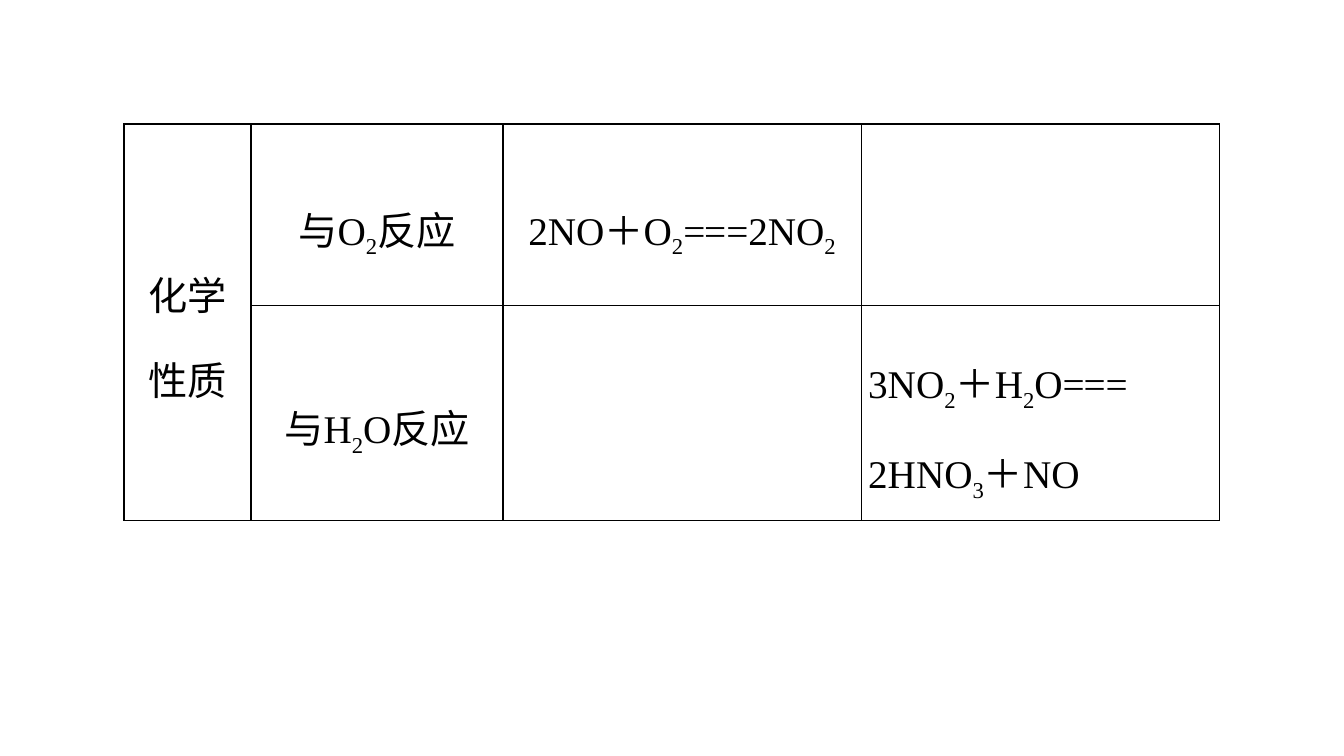
from dataclasses import dataclass

from lxml import etree
from pptx import Presentation
from pptx.dml.color import RGBColor
from pptx.enum.text import MSO_ANCHOR, PP_ALIGN
from pptx.oxml.ns import qn
from pptx.table import Table, _Cell
from pptx.util import Pt

CENTER, LEFT = PP_ALIGN.CENTER, PP_ALIGN.LEFT
MIDDLE = MSO_ANCHOR.MIDDLE
COLORS = {"ink": "000000"}
FONT_NAME = "Times New Roman"
FONT_SIZE = 28
COLUMN_WIDTHS = (90.72, 180, 255.8, 255.8)
ROW_HEIGHTS = (129.6, 153.4)
TABLE_LEFT, TABLE_TOP = 88.6, 88.6
SIDE_MARGIN = 5.04
BORDER_WIDTH = 1


@dataclass(frozen=True)
class Span:
    text: str
    baseline: int = 0
    spacing: int = 0


@dataclass(frozen=True)
class Entry:
    row: int
    column: int
    lines: tuple[tuple[Span, ...], ...]
    align: PP_ALIGN = CENTER


def sub(digit: str) -> Span:
    return Span(digit, baseline=-25000)


TIGHT_EQUALS = Span("==", spacing=-80)

ENTRIES = (
    Entry(0, 0, ((Span("化学性质"),),)),
    Entry(0, 1, ((Span("与O"), sub("2"), Span("反应")),)),
    Entry(0, 2, ((Span("2NO＋O"), sub("2"), TIGHT_EQUALS, Span("=2NO"), sub("2")),)),
    Entry(1, 1, ((Span("与H"), sub("2"), Span("O反应")),)),
    Entry(1, 3, (
        (Span("3NO"), sub("2"), Span("＋H"), sub("2"), Span("O"), TIGHT_EQUALS, Span("=")),
        (Span("2HNO"), sub("3"), Span("＋NO")),
    ), LEFT),
)


def style_cell(cell: _Cell) -> None:
    properties = cell._tc.get_or_add_tcPr()
    for side in ("lnL", "lnR", "lnT", "lnB"):
        line = etree.SubElement(properties, qn(f"a:{side}"), w=str(Pt(BORDER_WIDTH)))
        fill = etree.SubElement(line, qn("a:solidFill"))
        etree.SubElement(fill, qn("a:srgbClr"), val=COLORS["ink"])
    cell.fill.background()
    cell.vertical_anchor = MIDDLE
    cell.margin_left = cell.margin_right = Pt(SIDE_MARGIN)
    cell.margin_top = cell.margin_bottom = Pt(0)


def write_entry(table: Table, entry: Entry) -> None:
    frame = table.cell(entry.row, entry.column).text_frame
    for index, line in enumerate(entry.lines):
        para = frame.add_paragraph() if index else frame.paragraphs[0]
        para.alignment = entry.align
        para.line_spacing = 1.5
        para.font.name = FONT_NAME
        para.font.size = Pt(FONT_SIZE)
        para.font.color.rgb = RGBColor.from_string(COLORS["ink"])
        for span in line:
            run = para.add_run()
            run.text = span.text
            properties = run._r.get_or_add_rPr()
            if span.baseline:
                properties.set("baseline", str(span.baseline))
            if span.spacing:
                properties.set("spc", str(span.spacing))


def main() -> None:
    deck = Presentation()
    deck.slide_width, deck.slide_height = Pt(960), Pt(540)
    page = deck.slides.add_slide(deck.slide_layouts[6])
    table = page.shapes.add_table(
        len(ROW_HEIGHTS), len(COLUMN_WIDTHS), Pt(TABLE_LEFT), Pt(TABLE_TOP),
        Pt(sum(COLUMN_WIDTHS)), Pt(sum(ROW_HEIGHTS)),
    ).table
    table.first_row = table.horz_banding = False
    for column, width in zip(table.columns, COLUMN_WIDTHS):
        column.width = Pt(width)
    for row, height in zip(table.rows, ROW_HEIGHTS):
        row.height = Pt(height)
    for cell in table.iter_cells():
        style_cell(cell)
    table.cell(0, 0).merge(table.cell(1, 0))
    for entry in ENTRIES:
        write_entry(table, entry)
    deck.save("out.pptx")


if __name__ == "__main__":
    main()
